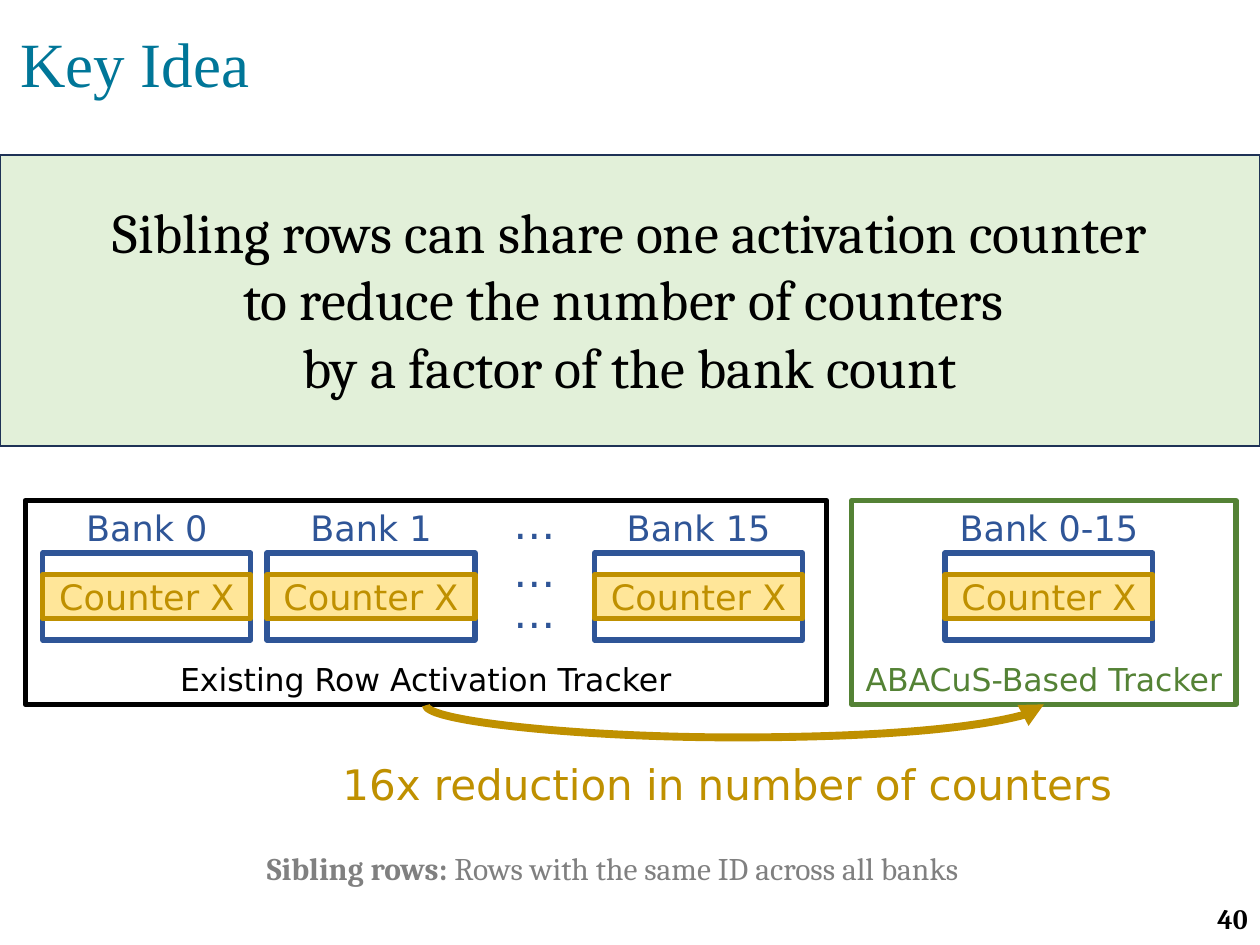
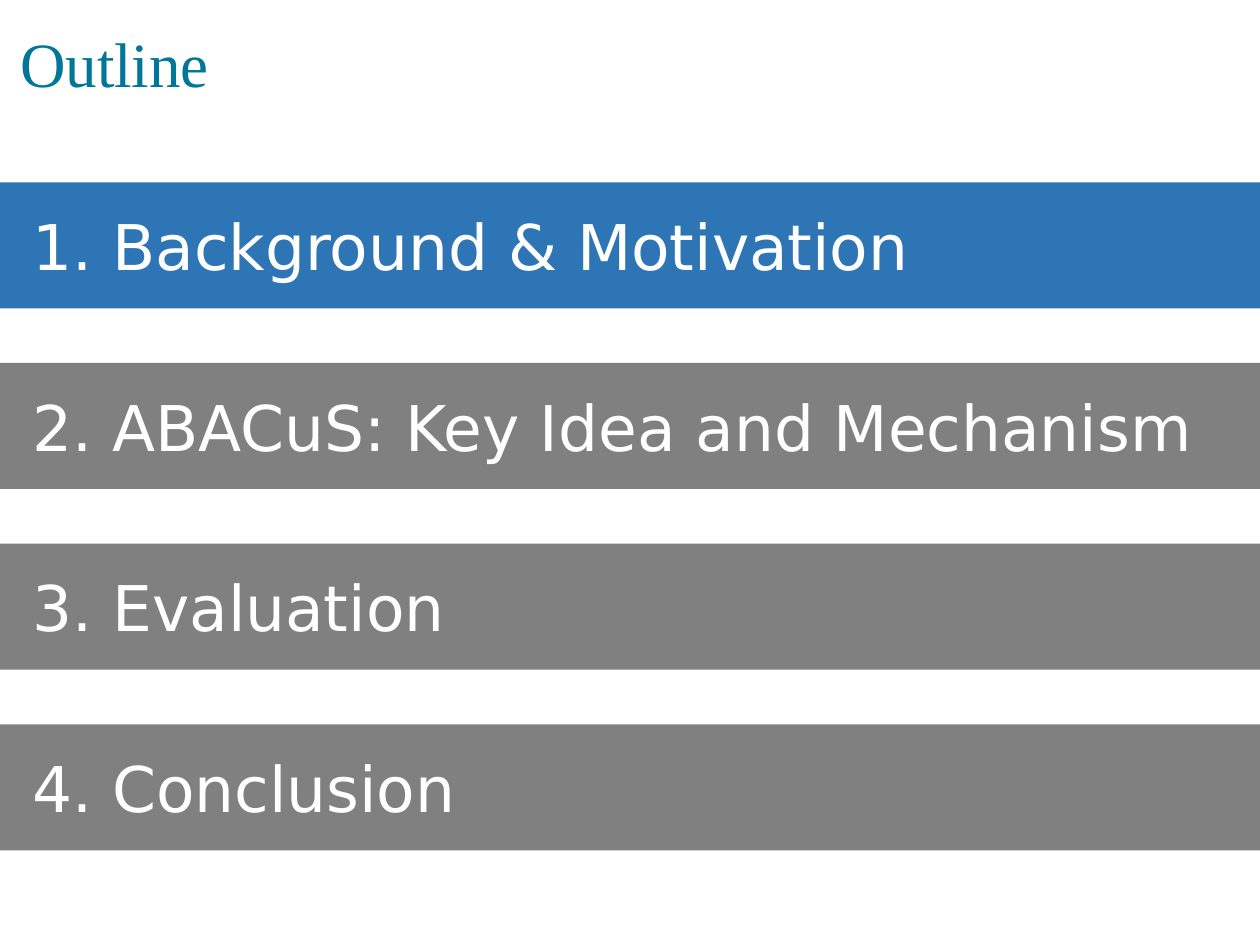
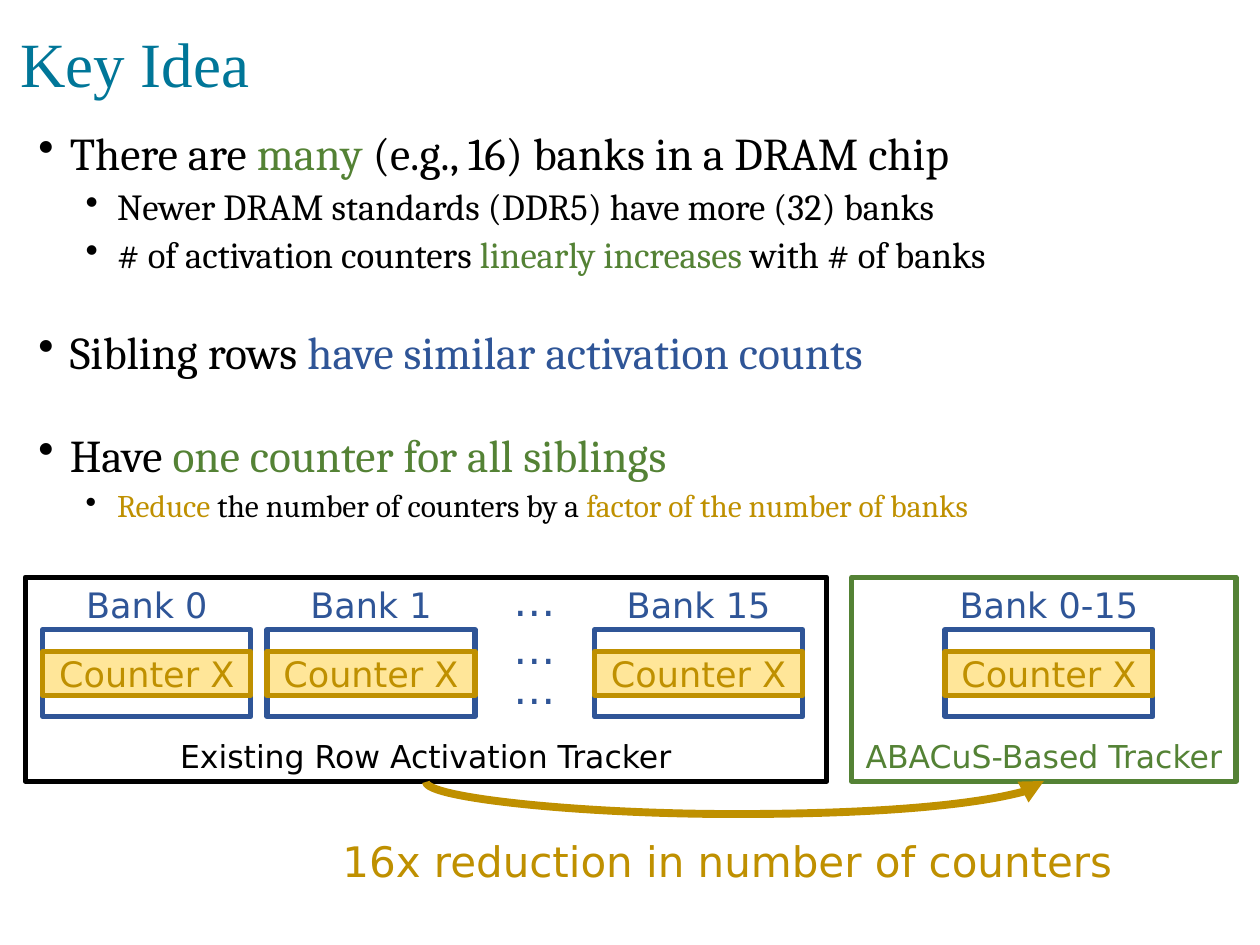
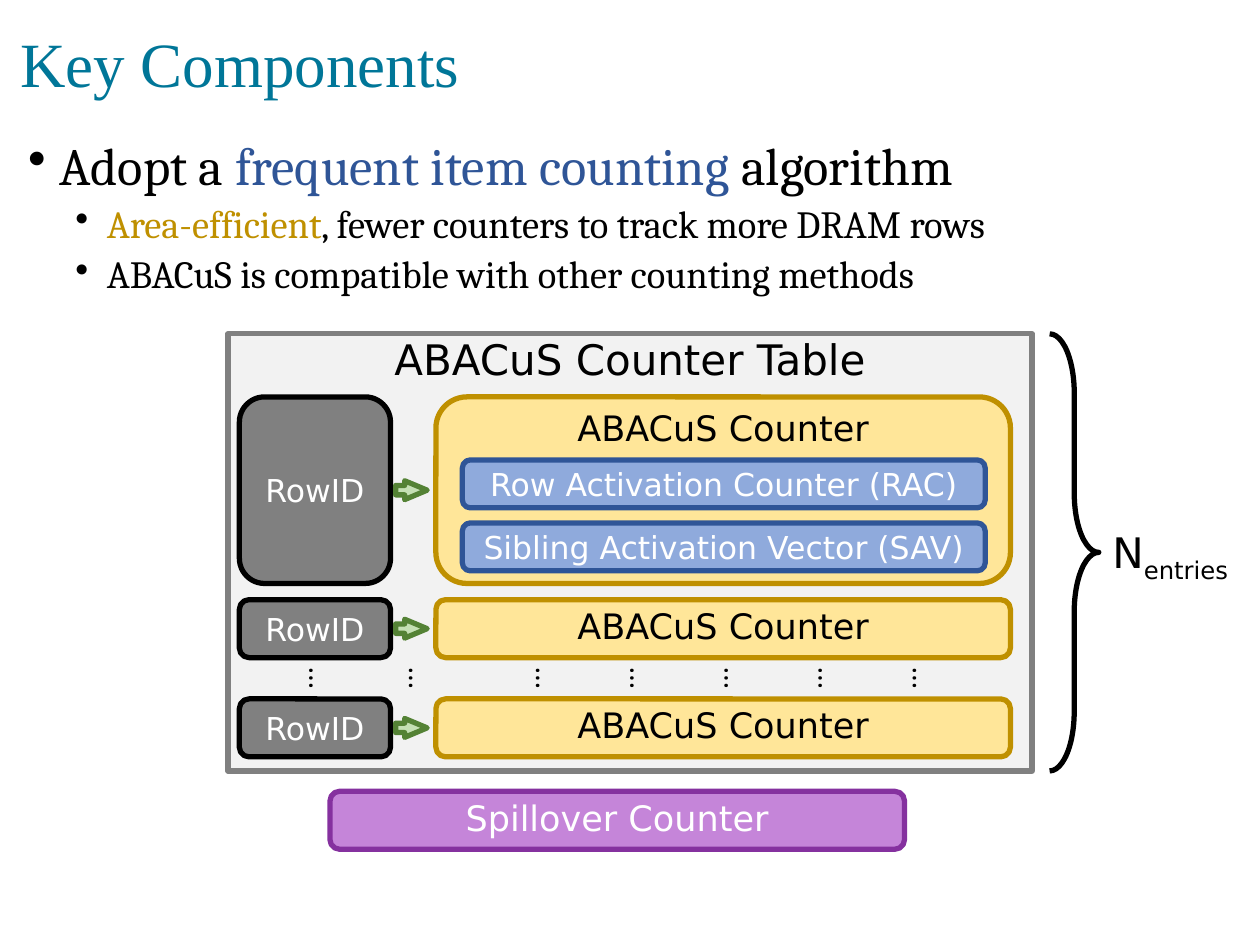
"""Build four slides on the ABACuS key idea, outline and key components."""
from lxml.etree import SubElement
from pptx import Presentation
from pptx.dml.color import RGBColor
from pptx.enum.shapes import MSO_CONNECTOR, MSO_SHAPE
from pptx.enum.text import MSO_ANCHOR, MSO_AUTO_SIZE, PP_ALIGN
from pptx.oxml.ns import qn
from pptx.util import Pt

COLORS = {
    "title": "007698", "black": "000000", "white": "FFFFFF", "gray": "808080",
    "pale_gray": "F2F2F2", "navy": "1E3256", "blue": "2F5597", "sky": "8FAADC",
    "active": "2E75B6", "green": "548235", "light_green": "C5E0B4",
    "pale_green": "E2F0D9", "gold": "BF9000", "cream": "FFE699",
    "purple": "85319F", "lilac": "C585D9",
}
SERIF, SANS, TITLE_FONT = "Cambria", "DejaVu Sans", "Times New Roman"
CENTER, RIGHT = PP_ALIGN.CENTER, PP_ALIGN.RIGHT
TOP, MIDDLE = MSO_ANCHOR.TOP, MSO_ANCHOR.MIDDLE
RECT, ROUNDED = MSO_SHAPE.RECTANGLE, MSO_SHAPE.ROUNDED_RECTANGLE


def block(slide, left, top, width, height, kind=None, fill=None, line=None,
          weight=3, anchor=None, insets=(7.2, 3.6, 7.2, 3.6), wrap=True):
    """Add a preset shape, or a text box when no kind is given."""
    at = Pt(left), Pt(top), Pt(width), Pt(height)
    if kind is None:
        item = slide.shapes.add_textbox(*at)
    else:
        item = slide.shapes.add_shape(kind, *at)
        item.shadow.inherit = False
        if fill:
            item.fill.solid()
            item.fill.fore_color.rgb = RGBColor.from_string(COLORS[fill])
        else:
            item.fill.background()
        if line:
            item.line.color.rgb = RGBColor.from_string(COLORS[line])
            item.line.width = Pt(weight)
        else:
            item.line.fill.background()
    frame = item.text_frame
    frame.word_wrap = wrap
    if not wrap:
        frame.auto_size = MSO_AUTO_SIZE.SHAPE_TO_FIT_TEXT
    frame.vertical_anchor = anchor or (MIDDLE if kind else TOP)
    frame.margin_left, frame.margin_top, frame.margin_right, frame.margin_bottom = map(Pt, insets)
    return item


def write(item, *runs, size=18, font=SANS, color="black", bold=False,
          align=PP_ALIGN.LEFT, spacing=None, before=0, level=None):
    """Add a paragraph of runs, each a text or a (text, color) pair."""
    frame = item.text_frame
    paragraph = frame.add_paragraph() if frame.text else frame.paragraphs[0]
    if level is not None:
        properties = paragraph._p.get_or_add_pPr()
        properties.set("marL", str(int(Pt(27 + 27 * level))))
        properties.set("indent", str(int(Pt(-18))))
        bullet_color = SubElement(properties, qn("a:buClr"))
        SubElement(bullet_color, qn("a:srgbClr"), val=COLORS["black"])
        SubElement(properties, qn("a:buChar"), char="•")
        paragraph.level = level
    paragraph.alignment = align
    if spacing:
        paragraph.line_spacing = spacing
    if before:
        paragraph.space_before = Pt(before)
    for part in runs:
        text, run_color = (part, color) if isinstance(part, str) else part
        run = paragraph.add_run()
        run.text = text
        run.font.size, run.font.name, run.font.bold = Pt(size), font, bold
        run.font.color.rgb = RGBColor.from_string(COLORS[run_color])
    return paragraph


deck = Presentation()
deck.slide_width, deck.slide_height = Pt(720), Pt(540)

slides = []
for heading in ("Key Idea", "Outline", "Key Idea", "Key Components"):
    slide = deck.slides.add_slide(deck.slide_layouts[6])
    title = block(slide, 0, 0, 720, 76.3, anchor=MIDDLE, insets=(11.5, 3.6, 7.2, 3.6))
    write(title, heading, size=36, font=TITLE_FONT, color="title", spacing=0.9)
    slides.append(slide)
statement, outline, reasoning, components = slides

page_number = block(statement, 558, 510.5, 162, 28.8, anchor=MIDDLE)
write(page_number, "40", size=16, font=SERIF, bold=True, align=RIGHT)
definition = block(statement, 145.4, 481.7, 429.1, 28.8, wrap=False)
sentence = write(definition, "Sibling rows: ", "Rows with the same ID across all banks",
                 font=SERIF, color="gray")
sentence.runs[0].font.bold = True
block(statement, 0, 88.6, 720, 166.3, RECT, fill="pale_green", line="navy", weight=1)
claim = block(statement, 41, 109.4, 638, 123.8, wrap=False)
for text in ("Sibling rows can share one activation counter",
             "to reduce the number of counters ",
             "by a factor of the bank count"):
    write(claim, text, size=32, font=SERIF, align=CENTER)

chapters = ("Background & Motivation", "ABACuS: Key Idea and Mechanism", "Evaluation", "Conclusion")
for index, chapter in enumerate(chapters):
    band = block(outline, 0, 104.2 + 103.25 * index, 720, 72, RECT,
                 fill="gray" if index else "active", insets=(18.6, 3.6, 7.2, 3.6))
    write(band, f"{index + 1}. {chapter}", size=36, color="white")

arguments = block(reasoning, 5.8, 71.3, 707.8, 433.4)
for level, size, before, runs in (
    (0, 26, 0, ("There are ", ("many", "green"), " (e.g., 16) banks in a DRAM chip")),
    (1, 21, 5, ("Newer DRAM standards (DDR5) have more (32) banks",)),
    (1, 21, 5, ("# of activation counters ", ("linearly increases ", "green"), "with # of banks")),
    (0, 26, 30.5, ("Sibling rows ", ("have similar activation counts", "blue"))),
    (0, 26, 30.5, ("Have ", ("one counter for all siblings", "green"))),
    (1, 18, 5, (("Reduce", "gold"), " the number of counters by a ",
                ("factor of the number of banks", "gold"))),
):
    write(arguments, *runs, size=size, font=SERIF, spacing=0.9, before=before, level=level)

for slide, top in ((statement, 286), (reasoning, 329.8)):
    centers = []
    for caption, color, left, width, caption_width in (
        ("Existing Row Activation Tracker", "black", 14.4, 458, 300.2),
        ("ABACuS-Based Tracker", "green", 486.7, 219.6, 224.6),
    ):
        block(slide, left, top, width, 116.6, RECT, line=color)
        center = left + width / 2
        centers.append(center)
        label = block(slide, center - caption_width / 2, top + 87.7, caption_width, 28.8, wrap=False)
        write(label, caption, color=color, align=CENTER)

    for bank, left, indent in (("Bank 0", 24.5, 9.7), ("Bank 1", 152.6, 9.7),
                               ("Bank 15", 339.8, 9.7), ("Bank 0-15", 540, 0)):
        block(slide, left, top + 30, 118.8, 49.7, RECT, line="blue")
        label = block(slide, left + indent, top, 118.8 - 2 * indent, 31.7)
        write(label, bank, size=20, color="blue", align=CENTER)
        counter = block(slide, left, top + 42.4, 118.8, 25.2, RECT, fill="cream", line="gold")
        write(counter, "Counter X", size=20, color="gold", align=CENTER)

    for offset in (-5, 22.3, 45.4):
        more_banks = block(slide, 255.6, top + offset, 99.4, 36)
        write(more_banks, "…", size=24, color="blue", align=CENTER)

    middle, reach = sum(centers) / 2, (centers[1] - centers[0]) / 2
    bottom, rise = top + 116.8, 0.5
    reduction = slide.shapes.add_connector(
        MSO_CONNECTOR.CURVE, Pt(middle + rise / 2), Pt(bottom + reach),
        Pt(middle - rise / 2), Pt(bottom - reach))
    reduction.line.color.rgb = RGBColor.from_string(COLORS["gold"])
    reduction.line.width = Pt(4.5)
    SubElement(reduction.line._get_or_add_ln(), qn("a:tailEnd"), type="triangle")
    properties = reduction._element.spPr
    properties.find(qn("a:xfrm")).set("rot", "5400000")
    bend = properties.find(qn("a:prstGeom")).find(qn("a:avLst"))
    SubElement(bend, qn("a:gd"), name="adj1", fmla="val -3600000")
    SubElement(properties, qn("a:effectLst"))

    result = block(slide, 188.6, top + 144, 461.5, 36, wrap=False)
    write(result, "16x reduction in number of counters", size=24, color="gold")

approach = block(components, 0, 76.3, 720, 420.5)
for level, size, before, runs in (
    (0, 30, 0, ("Adopt a ", ("frequent item counting ", "blue"), "algorithm")),
    (1, 22, 5, (("Area-efficient", "gold"), ", fewer counters to track more DRAM rows")),
    (1, 22, 5, ("ABACuS is compatible with other counting methods",)),
):
    write(approach, *runs, size=size, font=SERIF, spacing=0.9, before=before, level=level)

raised = (7.2, 0, 7.2, 3.6)
counter_table = block(components, 130.3, 190.8, 459.4, 249.8, RECT, fill="pale_gray",
                      line="gray", anchor=TOP, insets=raised)
write(counter_table, "ABACuS Counter Table", size=24, align=CENTER)

for top, height, anchor in ((226.8, 106.6, TOP), (342.7, 33.1, MIDDLE), (399.4, 33.1, MIDDLE)):
    row_id = block(components, 136.8, top, 86.4, height, ROUNDED, fill="gray", line="black")
    write(row_id, "RowID", color="white", align=CENTER)
    counter = block(components, 249.1, top, 328.3, height, ROUNDED, fill="cream",
                    line="gold", anchor=anchor, insets=raised)
    write(counter, "ABACuS Counter", size=20, align=CENTER)
    lookup = block(components, 226.1, top + height / 2 - 5.4, 18, 10.8,
                   MSO_SHAPE.RIGHT_ARROW, fill="light_green", line="green")
    lookup.adjustments[1] = 1.19

for top, field in ((262.8, "Row Activation Counter (RAC)"), (298.8, "Sibling Activation Vector (SAV)")):
    part = block(components, 264.2, top, 298.8, 27.4, ROUNDED, fill="sky", line="blue")
    write(part, field, color="white", align=CENTER)

for left in [169.9, 226.8] + [299.5 + 53.8 * step for step in range(5)]:
    more_rows = block(components, left, 373, 28.1, 28.8, wrap=False)
    more_rows.rotation = 90
    write(more_rows, "…", font=SERIF)

spillover = block(components, 188.6, 452.2, 328.3, 33.1, ROUNDED, fill="lilac",
                  line="purple", insets=raised)
write(spillover, "Spillover Counter", size=20, color="white", align=CENTER)

brace = block(components, 599.8, 190.8, 28.1, 249.8, MSO_SHAPE.RIGHT_BRACE, line="black")
brace.adjustments[0] = 1.21
entry_count = block(components, 628.6, 297.4, 88.6, 36, wrap=False)
symbol = write(entry_count, "N", "entries", size=24)
symbol.runs[1].font._element.set("baseline", "-25000")

deck.save("out.pptx")
